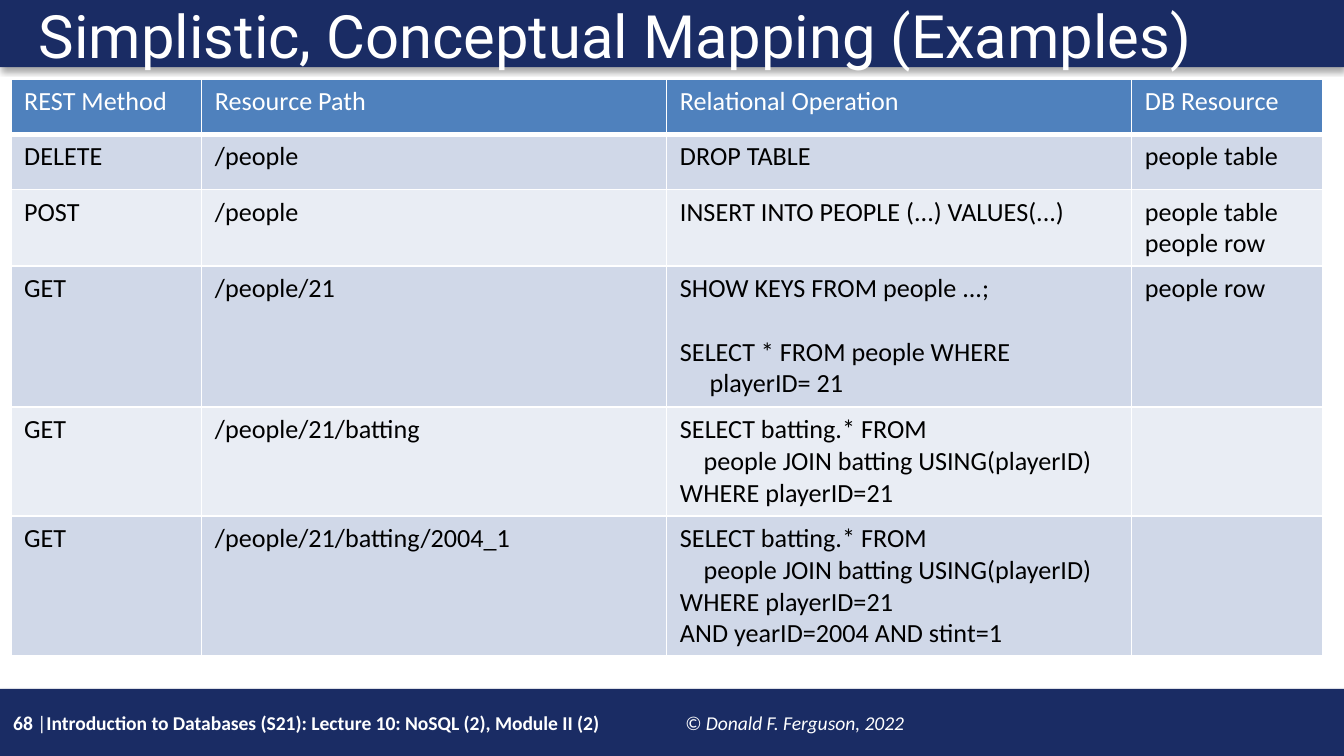
from dataclasses import dataclass

from lxml import etree
from pptx import Presentation
from pptx.dml.color import RGBColor
from pptx.enum.shapes import MSO_SHAPE
from pptx.enum.text import MSO_ANCHOR
from pptx.oxml import parse_xml
from pptx.oxml.ns import nsdecls, qn
from pptx.util import Inches, Pt

RECTANGLE = MSO_SHAPE.RECTANGLE
TOP = MSO_ANCHOR.TOP


@dataclass(frozen=True)
class Theme:
    navy: str = "1A2C64"
    header: str = "4F81BD"
    bands: tuple = ("D0D8E8", "E9EDF4")
    white: str = "FFFFFF"
    black: str = "000000"
    title_font: str = "Roboto"
    body_font: str = "Calibri"
    title_size: float = 32
    table_size: float = 14
    footer_size: float = 10.5


THEME = Theme()
SLIDE_WIDTH = 10
SLIDE_HEIGHT = SLIDE_WIDTH * 9 / 16
BAR_HEIGHT = 0.5
COLUMN_WIDTHS = (1.42, 3.46, 3.46, 1.42)
ROW_HEIGHTS = (0.41, 0.41, 0.57, 1.05, 0.81, 1.04)

BATTING_QUERY = """SELECT batting.* FROM
    people JOIN batting USING(playerID)
WHERE playerID=21"""

# Each cell is a list of paragraphs.
ROWS = (
    (["REST Method"], ["Resource Path"], ["Relational Operation"], ["DB Resource"]),
    (["DELETE"], ["/people"], ["DROP TABLE"], ["people table"]),
    (["POST"], ["/people"], ["INSERT INTO PEOPLE (...) VALUES(...)"],
     ["people table\npeople row"]),
    (["GET"], ["/people/21"],
     ["SHOW KEYS FROM people ...;", "SELECT * FROM people WHERE\n     playerID= 21"],
     ["people row"]),
    (["GET"], ["/people/21/batting"], [BATTING_QUERY], [""]),
    (["GET"], ["/people/21/batting/2004_1"],
     [BATTING_QUERY + "\nAND yearID=2004 AND stint=1"], [""]),
)


def set_font(font, name, size, color):
    font.name = name
    font.size = Pt(size)
    font.color.rgb = RGBColor.from_string(color)


def add_bar(slide, top):
    """Add a full-width navy bar with a soft shadow below it."""
    bar = slide.shapes.add_shape(
        RECTANGLE, 0, Inches(top), Inches(SLIDE_WIDTH), Inches(BAR_HEIGHT))
    bar.fill.solid()
    bar.fill.fore_color.rgb = RGBColor.from_string(THEME.navy)
    bar.line.fill.background()
    bar.shadow.inherit = False
    effects = bar._element.spPr.find(qn("a:effectLst"))
    effects.append(parse_xml(
        f'<a:outerShdw {nsdecls("a")} blurRad="{Pt(3.1)}" dist="{Pt(1.8)}" '
        f'dir="5400000" rotWithShape="0"><a:srgbClr val="{THEME.black}">'
        '<a:alpha val="35000"/></a:srgbClr></a:outerShdw>'))


def add_text_box(slide, left, top, width, height):
    box = slide.shapes.add_textbox(
        Inches(left), Inches(top), Inches(width), Inches(height))
    box.text_frame.word_wrap = True
    box.text_frame.vertical_anchor = TOP
    return box.text_frame.paragraphs[0]


def add_title(slide, text):
    paragraph = add_text_box(slide, 0.19, 0, 9.48, 0.48)
    paragraph.text = text
    paragraph.line_spacing = 0.9
    set_font(paragraph.font, THEME.title_font, THEME.title_size, THEME.white)


def add_footer(slide):
    paragraph = add_text_box(slide, 0, 5.24, 7.42, 0.28)
    properties = paragraph._p.get_or_add_pPr()
    tabs = etree.SubElement(properties, qn("a:tabLst"))
    etree.SubElement(tabs, qn("a:tab"), pos=str(Inches(5)), algn="l")
    set_font(paragraph.font, THEME.body_font, THEME.footer_size, THEME.white)
    course = "Introduction to Databases (S21): Lecture 10: NoSQL (2), Module II (2)\t"
    for text, bold, italic in (
        ("68 ", True, False),
        ("|", False, False),
        (course, True, False),
        ("© Donald F. Ferguson, 2022", False, True),
    ):
        run = paragraph.add_run()
        run.text = text
        run.font.bold = bold
        run.font.italic = italic


def set_borders(cell, bottom):
    """Draw white borders, one point wide except at the bottom."""
    properties = cell._tc.get_or_add_tcPr()
    widths = (("lnL", 1), ("lnR", 1), ("lnT", 1), ("lnB", bottom))
    for index, (side, width) in enumerate(widths):
        properties.insert(index, parse_xml(
            f'<a:{side} {nsdecls("a")} w="{Pt(width)}"><a:solidFill>'
            f'<a:srgbClr val="{THEME.white}"/></a:solidFill></a:{side}>'))


def fill_cell(cell, texts, fill, color):
    cell.fill.solid()
    cell.fill.fore_color.rgb = RGBColor.from_string(fill)
    frame = cell.text_frame
    for index, text in enumerate(texts):
        paragraph = frame.add_paragraph() if index else frame.paragraphs[0]
        paragraph.text = text
        if index:
            paragraph.space_before = Pt(17)
        set_font(paragraph.font, THEME.body_font, THEME.table_size, color)
        paragraph.font.bold = False


def add_mapping_table(slide):
    table = slide.shapes.add_table(
        len(ROWS), len(COLUMN_WIDTHS), Inches(0.08), Inches(0.59),
        Inches(sum(COLUMN_WIDTHS)), Inches(sum(ROW_HEIGHTS))).table
    for column, width in zip(table.columns, COLUMN_WIDTHS):
        column.width = Inches(width)
    for row_index, (row, height) in enumerate(zip(table.rows, ROW_HEIGHTS)):
        row.height = Inches(height)
        is_header = row_index == 0
        fill = THEME.header if is_header else THEME.bands[(row_index - 1) % 2]
        color = THEME.white if is_header else THEME.black
        for cell, texts in zip(row.cells, ROWS[row_index]):
            fill_cell(cell, texts, fill, color)
            set_borders(cell, 3 if is_header else 1)


def main():
    presentation = Presentation()
    presentation.slide_width = Inches(SLIDE_WIDTH)
    presentation.slide_height = Inches(SLIDE_HEIGHT)
    slide = presentation.slides.add_slide(presentation.slide_layouts[6])
    for top in (SLIDE_HEIGHT - BAR_HEIGHT, 0):
        add_bar(slide, top)
    add_footer(slide)
    add_title(slide, "Simplistic, Conceptual Mapping (Examples)")
    add_mapping_table(slide)
    presentation.save("out.pptx")


if __name__ == "__main__":
    main()
